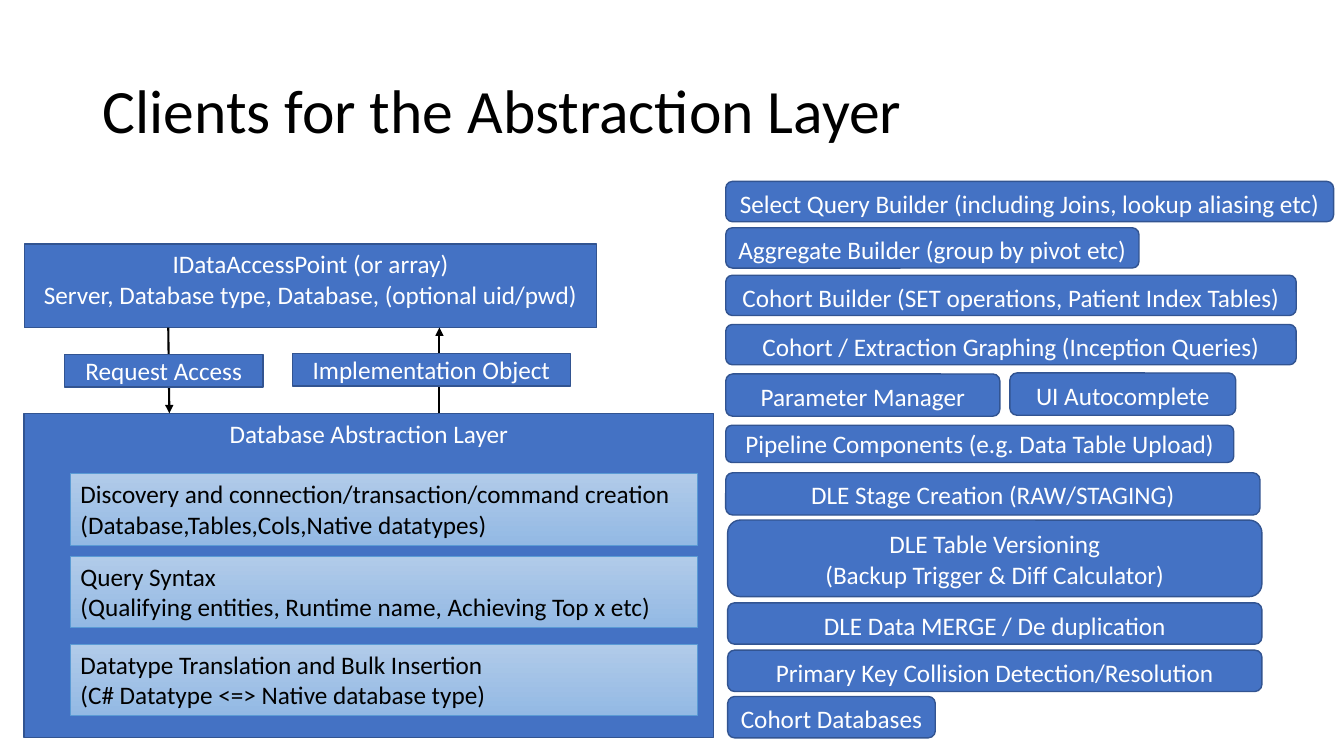
from dataclasses import dataclass

from pptx import Presentation
from pptx import util as u
from pptx.dml.color import RGBColor
from pptx.enum import shapes, text
from pptx.oxml import parse_xml
from pptx.oxml.ns import nsdecls
from pptx.shapes.autoshape import Shape
from pptx.slide import Slide
from pptx.text.text import TextFrame

RECT = shapes.MSO_SHAPE.RECTANGLE
ROUND = shapes.MSO_SHAPE.ROUNDED_RECTANGLE
TOP = text.MSO_ANCHOR.TOP
MID = text.MSO_ANCHOR.MIDDLE
LEFT = text.PP_ALIGN.LEFT
MIDST = text.PP_ALIGN.CENTER


@dataclass(frozen=True)
class Theme:
    font: str = "Calibri"
    head: float = 44
    body: float = 18
    blue: str = "4472C4"
    edge: str = "325491"
    rim: str = "5B9BD5"
    pale: str = "B1CBE9"
    deep: str = "93B9E4"
    dark: str = "000000"
    light: str = "FFFFFF"


@dataclass(frozen=True)
class Box:
    words: str
    left: float
    top: float
    width: float
    height: float
    anchor: text.MSO_ANCHOR = TOP


@dataclass(frozen=True)
class Arrow:
    start: tuple[float, float]
    end: tuple[float, float]


THEME = Theme()
COL = 518.4
LOW = 519.8
WIDE = 381.6

BLOCKS = [
    Box("Database Abstraction Layer", 17.3, 295.2, 492.5, 231.8),
    Box("IDataAccessPoint (or array)\n"
        "Server, Database type, Database, (optional uid/pwd)",
        17.3, 174.2, 409, 59.8),
]
LAYERS = [
    Box(words, 50.4, top, 447.8, 51.1) for words, top in [
        ("Discovery and connection/transaction/command creation\n"
         "(Database,Tables,Cols,Native datatypes)", 338.4),
        ("Query Syntax\n"
         "(Qualifying entities, Runtime name, Achieving Top x etc)", 397.4),
        ("Datatype Translation and Bulk Insertion\n"
         "(C# Datatype <=> Native database type)", 460.1),
    ]
]
ARROWS = [
    Arrow((120.2, 234), (121, 295.2)),
    Arrow((313.9, 295.2), (313.9, 234)),
]
LABELS = [
    Box("Implementation Object", 208.8, 252.7, 198.7, 23, MID),
    Box("Request Access", 46.1, 253.4, 141.8, 23, MID),
]
CLIENTS = [
    Box("Select Query Builder (including Joins, lookup aliasing etc)",
        COL, 129.6, 434.2, 28.8),
    Box("Aggregate Builder (group by pivot etc)", COL, 162.7, 295.2, 28.8),
    Box("Cohort Builder (SET operations, Patient Index Tables)",
        COL, 196.6, 407.5, 28.8),
    Box("Cohort / Extraction Graphing (Inception Queries)",
        COL, 231.8, 407.5, 28.8),
    Box("Parameter Manager", COL, 267.1, 195.8, 30.2),
    Box("UI Autocomplete", 721.4, 266.4, 161.3, 30.2),
    Box("Pipeline Components (e.g. Data Table Upload)",
        COL, 303.8, 362.9, 26.6, MID),
    Box("DLE Stage Creation (RAW/STAGING)", COL, 337.7, WIDE, 30.2),
    Box("DLE Table Versioning\n(Backup Trigger & Diff Calculator)",
        LOW, 371.5, WIDE, 54.7),
    Box("DLE Data MERGE / De duplication", LOW, 430.6, WIDE, 29.5),
    Box("Primary Key Collision Detection/Resolution",
        LOW, 464.4, WIDE, 29.5),
    Box("Cohort Databases", LOW, 497.5, 148.3, 29.5),
]


def tint(code: str) -> RGBColor:
    return RGBColor.from_string(code)


def write(frame: TextFrame, words: str, *, size: float = THEME.body,
          ink: str = THEME.light, align: text.PP_ALIGN = MIDST,
          anchor: text.MSO_ANCHOR = TOP, wrap: bool = True,
          space: float = 1.0) -> None:
    frame.word_wrap = wrap
    frame.vertical_anchor = anchor
    frame.text = words
    for para in frame.paragraphs:
        para.alignment = align
        para.line_spacing = space
        para.font.name = THEME.font
        para.font.size = u.Pt(size)
        para.font.color.rgb = tint(ink)


def place(slide: Slide, box: Box, kind: shapes.MSO_SHAPE, edge: str,
          weight: float) -> Shape:
    shape = slide.shapes.add_shape(
        kind, u.Pt(box.left), u.Pt(box.top), u.Pt(box.width), u.Pt(box.height))
    shape.shadow.inherit = False
    shape.line.color.rgb = tint(edge)
    shape.line.width = u.Pt(weight)
    return shape


def draw_block(slide: Slide, box: Box, kind: shapes.MSO_SHAPE = RECT) -> None:
    shape = place(slide, box, kind, THEME.edge, 1)
    shape.fill.solid()
    shape.fill.fore_color.rgb = tint(THEME.blue)
    write(shape.text_frame, box.words, anchor=box.anchor, wrap=kind == RECT)


def draw_layer(slide: Slide, box: Box) -> None:
    shape = place(slide, box, RECT, THEME.rim, 0.5)
    shape.fill.gradient()
    shape.fill.gradient_angle = 270
    for stop, code in zip(shape.fill.gradient_stops, (THEME.pale, THEME.deep)):
        stop.color.rgb = tint(code)
    write(shape.text_frame, box.words, ink=THEME.dark, align=LEFT)


def draw_arrow(slide: Slide, arrow: Arrow) -> None:
    ends = [u.Pt(num) for num in arrow.start + arrow.end]
    wire = slide.shapes.add_connector(shapes.MSO_CONNECTOR.STRAIGHT, *ends)
    wire.line.color.rgb = tint(THEME.dark)
    wire.line.width = u.Pt(1.5)
    wire.line._get_or_add_ln().append(
        parse_xml(f'<a:tailEnd {nsdecls("a")} type="triangle"/>'))
    wire._element.spPr.append(parse_xml(f'<a:effectLst {nsdecls("a")}/>'))


def draw_title(slide: Slide, box: Box) -> None:
    shape = slide.shapes.add_textbox(
        u.Pt(box.left), u.Pt(box.top), u.Pt(box.width), u.Pt(box.height))
    write(shape.text_frame, box.words, size=THEME.head, ink=THEME.dark,
          align=LEFT, anchor=box.anchor, space=0.9)


def main() -> None:
    deck = Presentation()
    deck.slide_width = u.Pt(960)
    deck.slide_height = u.Pt(540)
    slide = deck.slides.add_slide(deck.slide_layouts[6])
    for box in BLOCKS:
        draw_block(slide, box)
    for box in LAYERS:
        draw_layer(slide, box)
    draw_title(slide, Box("Clients for the Abstraction Layer",
                          66.2, 28.8, 828, 104.4, MID))
    for arrow in ARROWS:
        draw_arrow(slide, arrow)
    for box in LABELS:
        draw_block(slide, box)
    for box in CLIENTS:
        draw_block(slide, box, ROUND)
    deck.save("out.pptx")


if __name__ == "__main__":
    main()
